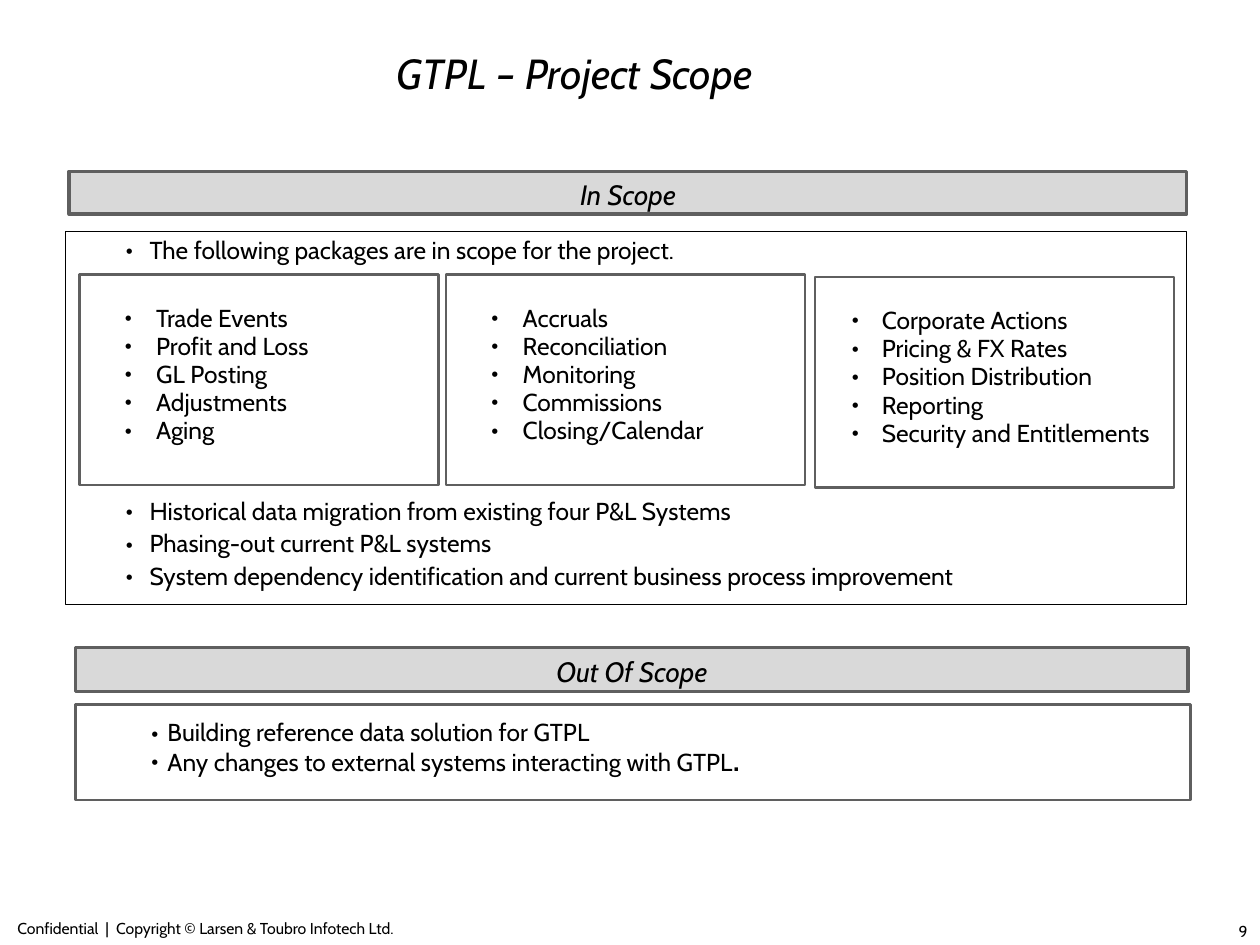
from dataclasses import dataclass

from lxml.etree import SubElement
from pptx import Presentation
from pptx.dml.color import RGBColor as RGB
from pptx.enum.shapes import MSO_SHAPE as SHAPE
from pptx.enum.text import MSO_ANCHOR as ANCHOR, MSO_AUTO_SIZE as AUTO, PP_ALIGN as ALIGN
from pptx.oxml.ns import qn
from pptx.util import Pt


@dataclass(frozen=True)
class Theme:
    """Colours, font and type sizes of the slide."""
    font: str = "Cabin"
    ink: RGB = RGB(0x00, 0x00, 0x00)
    band: RGB = RGB(0xD9, 0xD9, 0xD9)
    border: RGB = RGB(0x5F, 0x5F, 0x5F)
    title: float = 24
    heading: float = 16
    body: float = 14
    small: float = 9


THEME = Theme()

PACKAGES = [
    ((45.4, 157, 205.2, 120.2), (36.7, -18),
     ["Trade Events", "Profit and Loss", "GL Posting", "Adjustments", "Aging"]),
    ((254.9, 157, 205.2, 120.2), (36.7, -18),
     ["Accruals", "Reconciliation", "Monitoring", "Commissions", "Closing/Calendar"]),
    ((465.8, 158.4, 205.2, 120.2), (31, -17.3),
     ["Corporate Actions", "Pricing & FX Rates", "Position Distribution", "Reporting",
      "Security and Entitlements"]),
]
PACKAGE_INTRO = "The following packages are in scope for the project."
PROJECT_WORK = [
    "Historical data migration from existing four P&L Systems",
    "Phasing-out current P&L systems",
    "System dependency identification and current business process improvement",
]
EXCLUSIONS = [
    "Building reference data solution for GTPL",
    "Any changes to external systems interacting with GTPL",
]


def add_run(p, text, size=THEME.body, italic=False, bold=False):
    """Append formatted text to a paragraph."""
    r = p.add_run()
    r.text = text
    f = r.font
    f.name, f.size, f.italic, f.bold = THEME.font, Pt(size), italic, bold
    f.color.rgb = THEME.ink


def set_frame(tf, anchor=ANCHOR.TOP, top=3.6):
    """Set wrapping, anchor and margins of a text frame."""
    tf.word_wrap, tf.auto_size, tf.vertical_anchor = True, AUTO.NONE, anchor
    tf.margin_left = tf.margin_right = Pt(7.2)
    tf.margin_top, tf.margin_bottom = Pt(top), Pt(3.6)


def add_box(s, box, line=THEME.border, width=1.5, fill=None):
    """Draw a bordered rectangle."""
    sp = s.shapes.add_shape(SHAPE.RECTANGLE, *map(Pt, box))
    sp.shadow.inherit = False
    sp.line.color.rgb, sp.line.width = line, Pt(width)
    if fill is None:
        sp.fill.background()
    else:
        sp.fill.solid()
        sp.fill.fore_color.rgb = fill
    return sp


def add_bullets(tf, items, indent, spacing, gap=0):
    """Fill a text frame with a bulleted list."""
    for i, text in enumerate(items):
        p = tf.paragraphs[0] if i == 0 else tf.add_paragraph()
        p.level, p.alignment = 1, ALIGN.LEFT
        pPr = p._p.get_or_add_pPr()
        for name, value in zip(("marL", "indent"), indent):
            pPr.set(name, str(int(Pt(value))))
        colour = SubElement(pPr, qn("a:buClr"))
        SubElement(colour, qn("a:srgbClr")).set("val", str(THEME.ink))
        SubElement(pPr, qn("a:buFont")).set("typeface", THEME.font)
        SubElement(pPr, qn("a:buChar")).set("char", "•")
        p.line_spacing, p.space_before = spacing, Pt(gap if i else 0)
        add_run(p, text)


def add_title(s, box, text):
    """Place the slide title."""
    sp = s.shapes.title
    sp.left, sp.top, sp.width, sp.height = map(Pt, box)
    set_frame(sp.text_frame, ANCHOR.MIDDLE)
    p = sp.text_frame.paragraphs[0]
    p.alignment = ALIGN.LEFT
    add_run(p, text, size=THEME.title, italic=True)


def add_heading(s, box, text):
    """Draw a section heading band."""
    tf = add_box(s, box, width=2, fill=THEME.band).text_frame
    set_frame(tf, ANCHOR.MIDDLE)
    p = tf.paragraphs[0]
    p.alignment, p.line_spacing = ALIGN.CENTER, 1.1
    add_run(p, text, size=THEME.heading, italic=True)


def add_in_scope(s, box):
    """Draw the in-scope panel with its package columns."""
    tf = add_box(s, box, line=THEME.ink, width=0.75).text_frame
    set_frame(tf)
    add_bullets(tf, [PACKAGE_INTRO] + PROJECT_WORK, (41, -13.7), 0.9, gap=3.5)
    tf.paragraphs[1].space_before = Pt(134)
    for column, indent, items in PACKAGES:
        tf = add_box(s, column).text_frame
        set_frame(tf, ANCHOR.MIDDLE, top=0)
        add_bullets(tf, items, indent, 0.75, gap=3.5)


def add_out_of_scope(s, box):
    """Draw the out-of-scope panel."""
    tf = add_box(s, box).text_frame
    set_frame(tf, ANCHOR.MIDDLE, top=0)
    add_bullets(tf, EXCLUSIONS, (45.4, -9.4), 0.9)
    add_run(tf.paragraphs[-1], ".", size=THEME.heading, bold=True)


def add_footer(s, box, text, align=ALIGN.LEFT):
    """Place a line of footer text."""
    tf = s.shapes.add_textbox(*map(Pt, box)).text_frame
    set_frame(tf)
    p = tf.paragraphs[0]
    p.alignment = align
    add_run(p, text, size=THEME.small)


def main():
    """Build and save the slide."""
    prs = Presentation()
    prs.slide_width, prs.slide_height = Pt(720), Pt(540)
    s = prs.slides.add_slide(prs.slide_layouts[5])
    add_title(s, (219.6, 11.5, 500.4, 60.5), "GTPL – Project Scope")
    add_footer(s, (2.9, 521.3, 311, 15.8), "Confidential  |  Copyright © Larsen & Toubro Infotech Ltd.")
    add_footer(s, (552.2, 523.4, 167.8, 16.6), "9", align=ALIGN.RIGHT)
    add_heading(s, (39.6, 97.9, 638.6, 24.5), "In Scope")
    add_heading(s, (43.2, 370.1, 635.8, 25.2), "Out Of Scope")
    add_in_scope(s, (37.4, 132.5, 640.8, 213.1))
    add_out_of_scope(s, (43.2, 402.5, 637.2, 54.7))
    prs.save("out.pptx")


if __name__ == "__main__":
    main()
